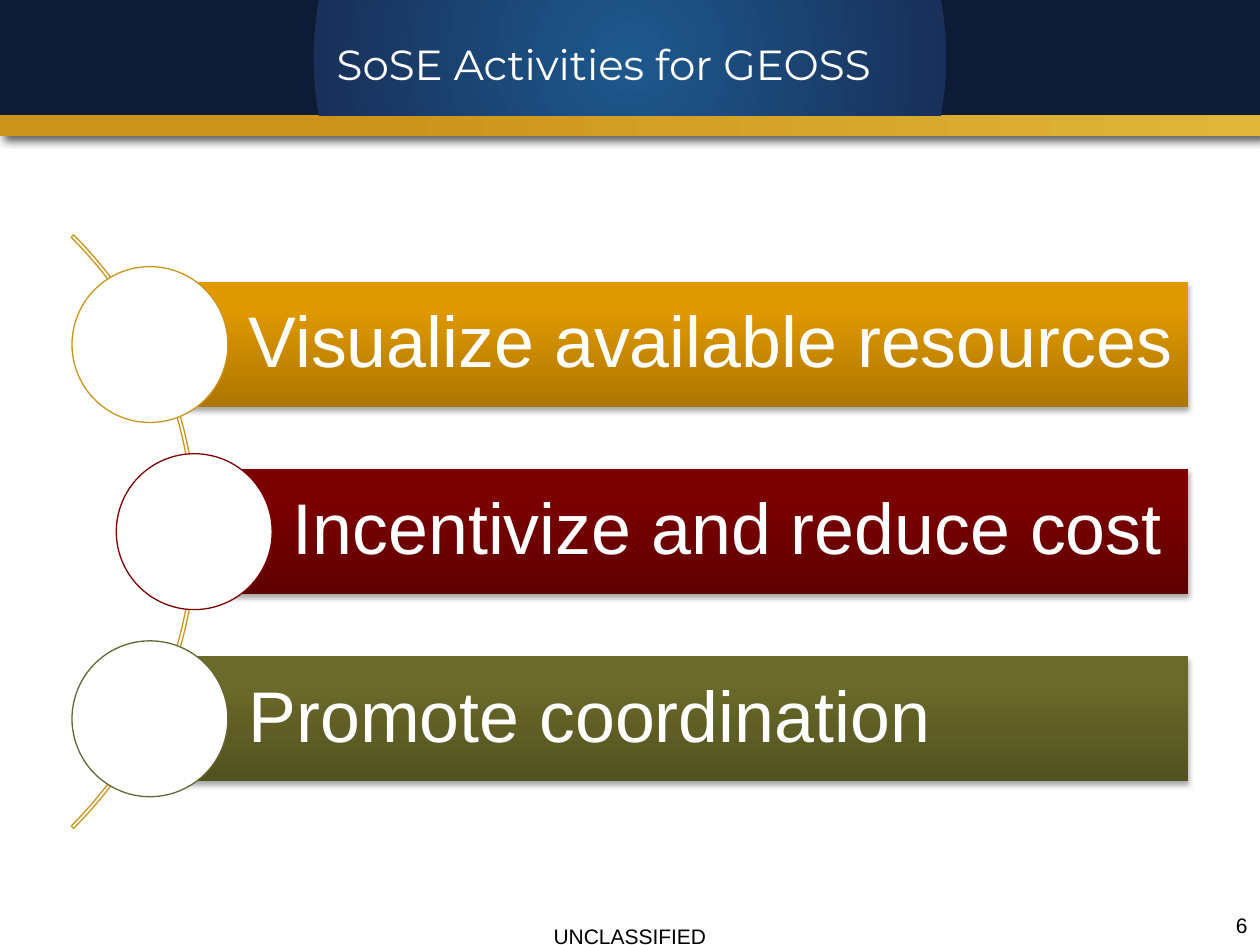
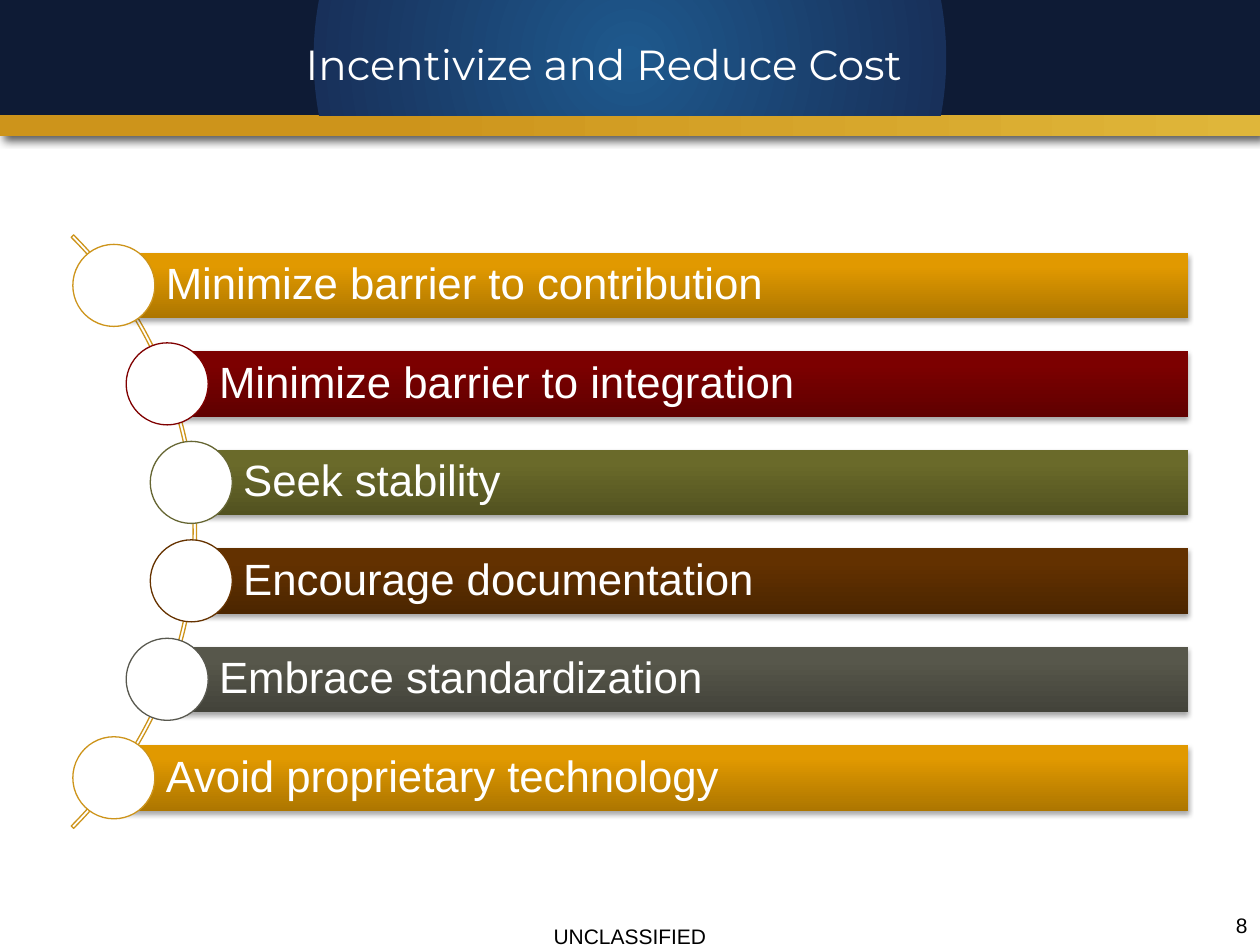
from math import sqrt

from pptx import Presentation
from pptx.dml.color import RGBColor
from pptx.enum.shapes import MSO_SHAPE
from pptx.enum.text import MSO_ANCHOR, PP_ALIGN
from pptx.oxml import parse_xml
from pptx.oxml.ns import nsdecls, qn
from pptx.util import Pt

COLORS = {
    "white": "FFFFFF", "black": "000000",
    "gold": "CD941B", "light gold": "DFB63A",
    "glow": "1E598D", "blue": "18305A", "navy": "0E1B35",
    "red": "800000", "olive": "666633", "brown": "663300", "gray": "58584F",
}
# Bar gradients, from the bottom edge to the top edge
BAR_SHADES = {
    "gold": ("AD7600", "E19900", "E29A00"),
    "red": ("600000", "7C0000", "7D0000"),
    "olive": ("525220", "6A6A2A", "6C6C29"),
    "brown": ("4C2600", "633100", "633200"),
    "gray": ("43433A", "57574B", "57574B"),
}
BAR_CYCLE = list(BAR_SHADES)

WIDTH, HEIGHT = 720, 540
# Curved list: circles sit on an arc, bars run to a common right edge
ARC_X, ARC_Y, ARC_RADIUS = -127.5, 303.8, 239.8
CIRCLE_TRACK = 238.5
LIST_HEIGHT, BAR_RIGHT = 356.4, 679


class Deck:
    def __init__(self):
        self.presentation = Presentation()
        self.presentation.slide_width = Pt(WIDTH)
        self.presentation.slide_height = Pt(HEIGHT)
        self.slide = None

    def start_slide(self, title, number):
        layout = self.presentation.slide_layouts[6]
        self.slide = self.presentation.slides.add_slide(layout)
        # Header bands
        gold_band = self.shape(MSO_SHAPE.RECTANGLE, 0, 60, WIDTH, 18)
        self.gradient(gold_band, [(0, COLORS["light gold"]), (70, COLORS["gold"]),
                                  (100, COLORS["gold"])], angle=180)
        self.shadow(gold_band, opacity=64, blur=5, distance=3, angle=45)
        blue_band = self.shape(MSO_SHAPE.RECTANGLE, 0, 0, WIDTH, 66)
        self.gradient(blue_band, [(0, COLORS["glow"]), (50, COLORS["blue"]),
                                  (50, COLORS["navy"])])
        # Title and footers
        self.text(title, 102, 12.2, 486, 48.2, 24, "white", font="Montserrat")
        self.text("UNCLASSIFIED", 273, 524.2, 174, 21.6, 12, "black",
                  anchor=MSO_ANCHOR.TOP)
        self.text(str(number), 678.2, 517, 41.8, 23, 12, "black",
                  align=PP_ALIGN.RIGHT)

    def shape(self, kind, left, top, width, height, fill=None, line=None):
        shape = self.slide.shapes.add_shape(
            kind, Pt(left), Pt(top), Pt(width), Pt(height))
        shape.shadow.inherit = False
        if fill:
            shape.fill.solid()
            shape.fill.fore_color.rgb = RGBColor.from_string(COLORS[fill])
        else:
            shape.fill.background()
        if line:
            shape.line.color.rgb = RGBColor.from_string(COLORS[line])
            shape.line.width = Pt(0.75)
        else:
            shape.line.fill.background()
        return shape

    def gradient(self, shape, stops, angle=None):
        """Fill linearly at the angle, or as circles from the centre without one."""
        stop_xml = "".join(
            f'<a:gs pos="{pos * 1000}"><a:srgbClr val="{color}"/></a:gs>'
            for pos, color in stops)
        if angle is None:
            course = ('<a:path path="circle"><a:fillToRect l="50000" t="50000" '
                      'r="50000" b="50000"/></a:path>')
        else:
            course = f'<a:lin ang="{angle * 60000}" scaled="0"/>'
        properties = shape._element.spPr
        properties.replace(properties.find(qn("a:noFill")), parse_xml(
            f'<a:gradFill {nsdecls("a")} rotWithShape="1">'
            f'<a:gsLst>{stop_xml}</a:gsLst>{course}</a:gradFill>'))

    def shadow(self, shape, opacity, blur, distance, angle):
        shape._element.spPr.find(qn("a:effectLst")).append(parse_xml(
            f'<a:outerShdw {nsdecls("a")} blurRad="{Pt(blur)}" dist="{Pt(distance)}" '
            f'dir="{angle * 60000}" rotWithShape="0">'
            f'<a:srgbClr val="{COLORS["black"]}"><a:alpha val="{opacity * 1000}"/>'
            '</a:srgbClr></a:outerShdw>'))

    def fill_frame(self, frame, text, size, color, align, anchor, font="Arial"):
        frame.word_wrap = True
        frame.vertical_anchor = anchor
        frame.text = text
        paragraph = frame.paragraphs[0]
        paragraph.alignment = align
        run_font = paragraph.runs[0].font
        run_font.name = font
        run_font.size = Pt(size)
        run_font.color.rgb = RGBColor.from_string(COLORS[color])
        return paragraph

    def text(self, text, left, top, width, height, size, color,
             align=PP_ALIGN.CENTER, anchor=MSO_ANCHOR.MIDDLE, font="Arial"):
        box = self.slide.shapes.add_textbox(Pt(left), Pt(top), Pt(width), Pt(height))
        self.fill_frame(box.text_frame, text, size, color, align, anchor, font)

    def bar(self, label, left, top, height, size, shade):
        bar = self.shape(MSO_SHAPE.RECTANGLE, left, top, BAR_RIGHT - left, height)
        self.gradient(bar, list(zip((0, 80, 100), BAR_SHADES[shade])), angle=270)
        self.shadow(bar, opacity=35, blur=3.1, distance=1.8, angle=90)
        frame = bar.text_frame
        frame.margin_left = Pt(0.79 * height)
        frame.margin_top = frame.margin_bottom = Pt(0.2 * size)
        frame.margin_right = Pt(0.1 * size)
        paragraph = self.fill_frame(frame, label, size, "white",
                                    PP_ALIGN.LEFT, MSO_ANCHOR.MIDDLE)
        paragraph.line_spacing = 0.9

    def curved_list(self, labels, size):
        arc = self.shape(MSO_SHAPE.BLOCK_ARC, ARC_X - ARC_RADIUS, ARC_Y - ARC_RADIUS,
                         2 * ARC_RADIUS, 2 * ARC_RADIUS, line="gold")
        for index, value in enumerate((189, 27, 0.004)):
            arc.adjustments[index] = value
        # Gaps are half a bar high, also above the first and below the last
        height = LIST_HEIGHT / (1.5 * len(labels) + 0.5)
        diameter = 1.25 * height
        for index, label in enumerate(labels):
            shade = BAR_CYCLE[index % len(BAR_CYCLE)]
            offset = (index - (len(labels) - 1) / 2) * 1.5 * height
            center_x = ARC_X + sqrt(CIRCLE_TRACK ** 2 - offset ** 2)
            center_y = ARC_Y + offset
            self.bar(label, center_x, center_y - height / 2, height, size, shade)
            self.shape(MSO_SHAPE.OVAL, center_x - diameter / 2, center_y - diameter / 2,
                       diameter, diameter, fill="white", line=shade)


def main():
    deck = Deck()

    # Activities
    deck.start_slide("SoSE Activities for GEOSS", 6)
    deck.curved_list(["Visualize available resources",
                      "Incentivize and reduce cost",
                      "Promote coordination"], 41)

    # Incentives and cost
    deck.start_slide("Incentivize and Reduce Cost", 8)
    deck.curved_list(["Minimize barrier to contribution",
                      "Minimize barrier to integration",
                      "Seek stability",
                      "Encourage documentation",
                      "Embrace standardization",
                      "Avoid proprietary technology"], 25)

    deck.presentation.save("out.pptx")


if __name__ == "__main__":
    main()
